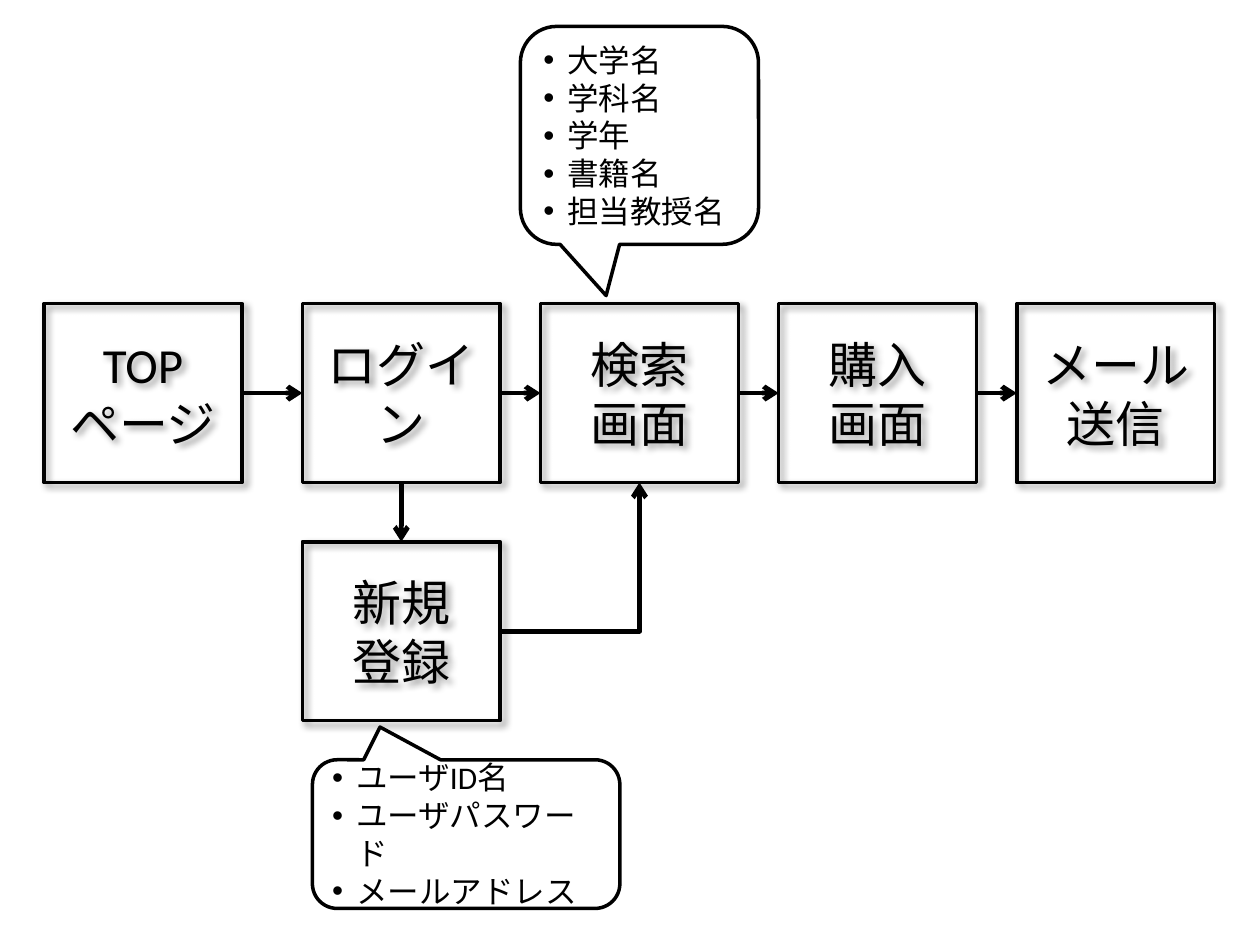
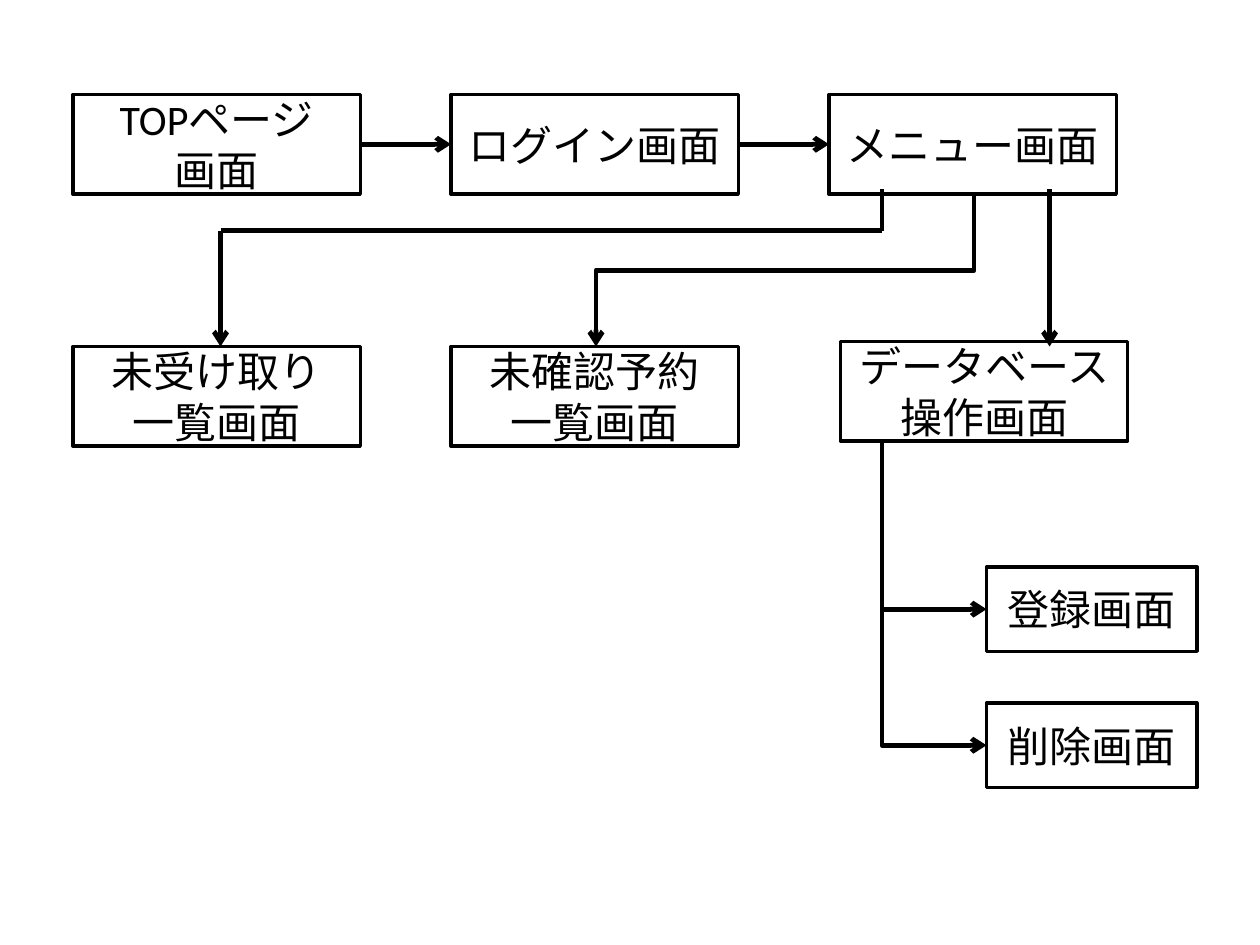
from pptx import Presentation
from pptx.dml.color import RGBColor
from pptx.enum.shapes import MSO_CONNECTOR, MSO_SHAPE
from pptx.enum.text import MSO_ANCHOR, PP_ALIGN
from pptx.oxml.ns import qn
from pptx.util import Inches, Pt
from lxml.etree import SubElement

BLACK = RGBColor(0, 0, 0)
WHITE = RGBColor(255, 255, 255)
FONT = "Calibri"


def add_box(page, kind, place, lines, size, align=PP_ALIGN.CENTER):
    """Outlined, unfilled shape with one paragraph per line."""
    box = page.shapes.add_shape(kind, *[Inches(length) for length in place])
    box.shadow.inherit = False
    box.fill.background()
    box.line.color.rgb = BLACK
    box.line.width = Pt(2)
    frame = box.text_frame
    frame.word_wrap = True
    frame.vertical_anchor = MSO_ANCHOR.MIDDLE
    frame.text = "\n".join(lines)
    for paragraph in frame.paragraphs:
        paragraph.alignment = align
        paragraph.font.name = FONT
        paragraph.font.size = Pt(size)
        paragraph.font.color.rgb = BLACK
    return box


def connect(page, start, end, preset="line", downward=False, arrow=True):
    """Line from start to end; downward bent lines are turned by 90 degrees."""
    if downward:
        middle_x, middle_y = (start[0] + end[0]) / 2, (start[1] + end[1]) / 2
        start, end = [(middle_x + y - middle_y, middle_y - x + middle_x)
                      for x, y in (start, end)]
    connector = page.shapes.add_connector(
        MSO_CONNECTOR.STRAIGHT, *[Inches(length) for length in (*start, *end)])
    connector.line.color.rgb = BLACK
    connector.line.width = Pt(2.75)
    properties = connector._element.spPr
    properties.find(qn("a:prstGeom")).set("prst", preset)
    if downward:
        properties.find(qn("a:xfrm")).set("rot", "5400000")
    if arrow:
        SubElement(properties.find(qn("a:ln")), qn("a:tailEnd"), type="arrow")
    SubElement(properties, qn("a:effectLst"))


deck = Presentation()
deck.slide_width, deck.slide_height = Inches(10), Inches(7.5)
blank = deck.slide_layouts[6]

# Slide 1: purchase flow
page = deck.slides.add_slide(blank)
STEP_WIDTH, STEP_HEIGHT = 1.57, 1.42
STEP_TOP, REGISTER_TOP = 2.41, 4.3
step_lefts = [0.35] + [2.4 + 1.89 * i for i in range(4)]
login_left, search_left = step_lefts[1:3]
step_middle = STEP_TOP + STEP_HEIGHT / 2
step_bottom = STEP_TOP + STEP_HEIGHT
step_texts = [["TOPページ"], ["ログイン"], ["検索", "画面"], ["購入", "画面"], ["メール送信"]]
steps = [(left, STEP_TOP, lines) for left, lines in zip(step_lefts, step_texts)]
steps.append((login_left, REGISTER_TOP, ["新規", "登録"]))

for left, top, lines in steps:
    step = add_box(page, MSO_SHAPE.RECTANGLE,
                   (left, top, STEP_WIDTH, STEP_HEIGHT), lines, 28)
    # Soft shadow towards the lower right
    effects = step._element.spPr.find(qn("a:effectLst"))
    shadow = SubElement(effects, qn("a:outerShdw"), blurRad=str(Pt(4)),
                        dist=str(Pt(3)), dir="2700000", algn="tl", rotWithShape="0")
    colour = SubElement(shadow, qn("a:srgbClr"), val=str(BLACK))
    SubElement(colour, qn("a:alpha"), val="40000")

# Arrows between the steps, and the way round through registration
for left, next_left in zip(step_lefts, step_lefts[1:]):
    connect(page, (left + STEP_WIDTH, step_middle), (next_left, step_middle))
login_center = login_left + STEP_WIDTH / 2
connect(page, (login_center, step_bottom), (login_center, REGISTER_TOP))
connect(page, (login_left + STEP_WIDTH, REGISTER_TOP + STEP_HEIGHT / 2),
        (search_left + STEP_WIDTH / 2, step_bottom), "bentConnector2")

# Callouts listing the input fields
callouts = [
    ((4.13, 0.21, 1.89, 1.73), (-0.14, 0.735),
     ["大学名", "学科名", "学年", "書籍名", "担当教授名"]),
    ((2.48, 6.03, 2.44, 1.18), (-0.28, -0.72),
     ["ユーザID名", "ユーザパスワード", "メールアドレス"]),
]
for place, pointer, fields in callouts:
    callout = add_box(page, MSO_SHAPE.ROUNDED_RECTANGULAR_CALLOUT, place,
                      fields, 18, PP_ALIGN.LEFT)
    callout.fill.solid()
    callout.fill.fore_color.rgb = WHITE
    callout.adjustments[0], callout.adjustments[1] = pointer
    for paragraph in callout.text_frame.paragraphs:
        settings = paragraph._p.get_or_add_pPr()
        settings.set("marL", str(Inches(0.19)))
        settings.set("indent", str(-Inches(0.19)))
        bullet_font = settings.makeelement(qn("a:buFont"), {"typeface": "Arial"})
        bullet = settings.makeelement(qn("a:buChar"), {"char": "•"})
        settings.insert(0, bullet_font)
        settings.insert(1, bullet)

# Slide 2: administration screens
page = deck.slides.add_slide(blank)
SCREEN_WIDTH, SCREEN_HEIGHT = 2.28, 0.79
TOP_ROW, LOWER_ROW = 0.75, 2.75
columns = [0.58 + 3 * i for i in range(3)]
SMALL_LEFT, SMALL_WIDTH, SMALL_HEIGHT = 7.83, 1.67, 0.67
REGISTER_ROW, DELETE_ROW = 4.5, 5.58
screens = [
    (columns[0], TOP_ROW, ["TOPページ", "画面"]),
    (columns[1], TOP_ROW, ["ログイン画面"]),
    (columns[2], TOP_ROW, ["メニュー画面"]),
    (columns[0], LOWER_ROW, ["未受け取り", "一覧画面"]),
    (columns[1], LOWER_ROW, ["未確認予約", "一覧画面"]),
    (6.67, 2.71, ["データベース", "操作画面"]),
]
for left, top, lines in screens:
    add_box(page, MSO_SHAPE.RECTANGLE,
            (left, top, SCREEN_WIDTH, SCREEN_HEIGHT), lines, 24)
for top, label in [(REGISTER_ROW, "登録画面"), (DELETE_ROW, "削除画面")]:
    add_box(page, MSO_SHAPE.RECTANGLE,
            (SMALL_LEFT, top, SMALL_WIDTH, SMALL_HEIGHT), [label], 24)

# Top row
screen_middle = TOP_ROW + SCREEN_HEIGHT / 2
for left, next_left in zip(columns, columns[1:]):
    connect(page, (left + SCREEN_WIDTH, screen_middle), (next_left, screen_middle))

# Menu to the three screens below
BRANCH_X, BRANCH_Y = 7, 1.83
connect(page, (BRANCH_X, 1.5), (BRANCH_X, BRANCH_Y), arrow=False)
connect(page, (1.75, BRANCH_Y), (BRANCH_X, BRANCH_Y), arrow=False)
connect(page, (1.75, BRANCH_Y), (1.75, LOWER_ROW))
connect(page, (7.73, TOP_ROW + SCREEN_HEIGHT), (4.73, LOWER_ROW),
        "bentConnector3", downward=True)
connect(page, (8.33, 1.5), (8.33, LOWER_ROW))

# Database screen to registration and deletion
register_middle = REGISTER_ROW + SMALL_HEIGHT / 2
delete_middle = DELETE_ROW + SMALL_HEIGHT / 2
connect(page, (BRANCH_X, 3.5), (SMALL_LEFT, delete_middle),
        "bentConnector2", downward=True)
connect(page, (BRANCH_X, register_middle), (SMALL_LEFT, register_middle))

deck.save("out.pptx")
